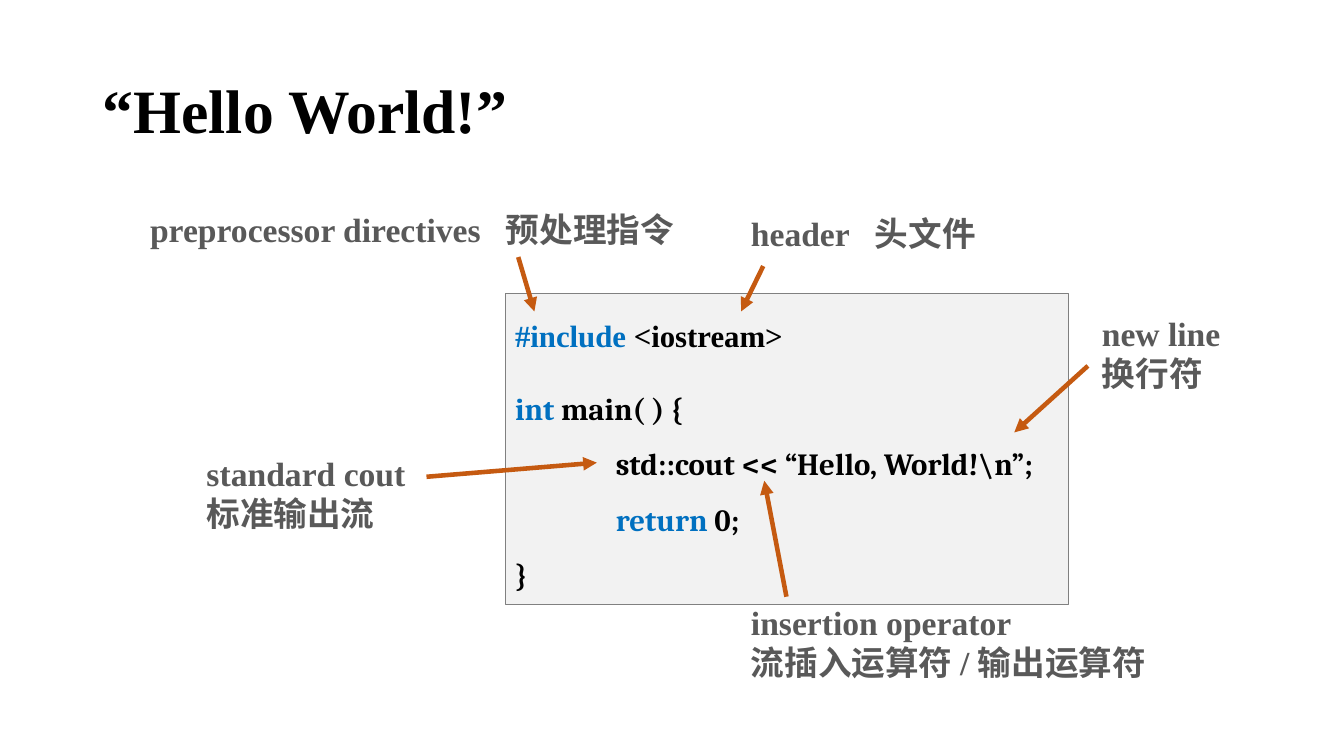
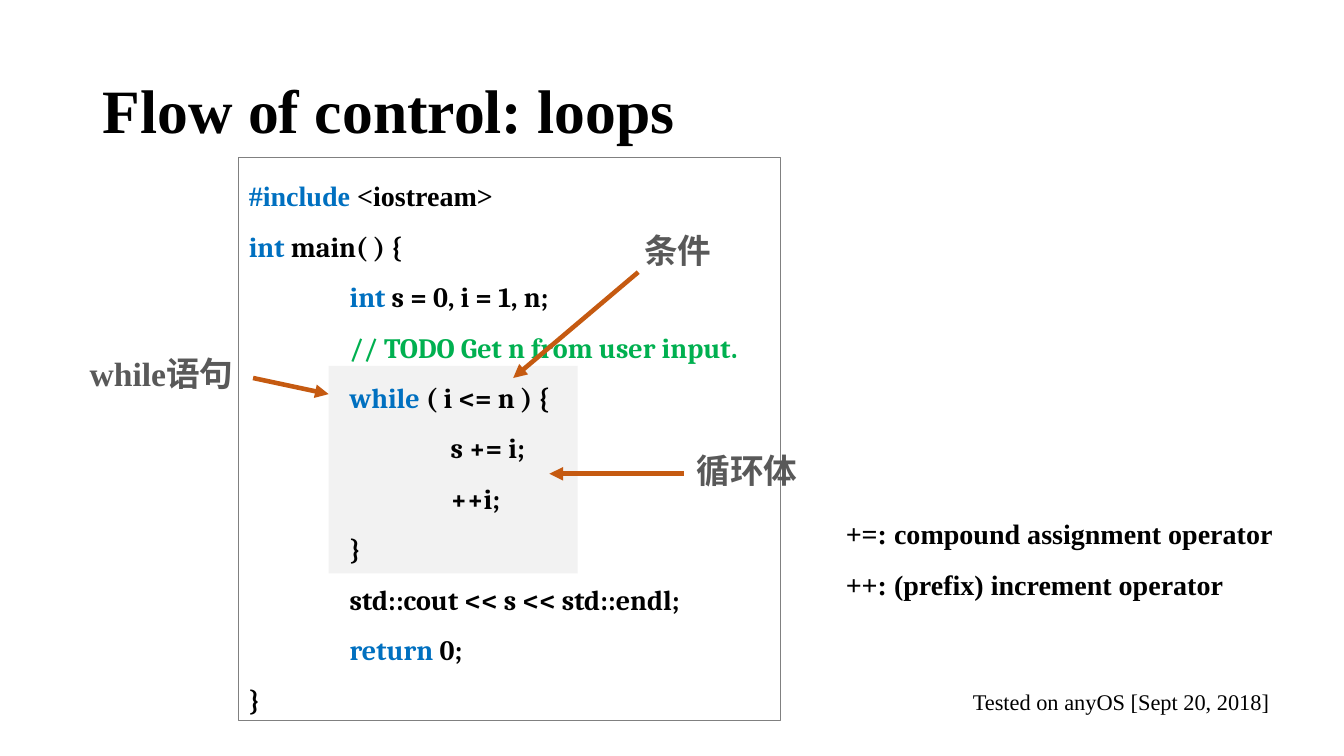
from lxml import etree
from pptx import Presentation
from pptx.dml.color import RGBColor
from pptx.enum import shapes, text
from pptx.oxml import ns
from pptx.util import Inches, Pt

BLACK = RGBColor(0x00, 0x00, 0x00)
KEYWORD = RGBColor(0x00, 0x70, 0xC0)
COMMENT = RGBColor(0x00, 0xB0, 0x50)
LABEL = RGBColor(0x59, 0x59, 0x59)
ARROW = RGBColor(0xC5, 0x5A, 0x11)
PANEL = RGBColor(0xF2, 0xF2, 0xF2)
BORDER = RGBColor(0x80, 0x80, 0x80)

SERIF = "Times New Roman"
CODE = "Cambria"
CHINESE = "Noto Sans CJK SC"


def write(tf, lines, size=24, font=SERIF, color=BLACK, bold=True,
          align=text.PP_ALIGN.LEFT, spacing=1.0, tabs=()):
    """Fill a text frame; a line is a list of strings or (string, colour) runs."""
    tf.word_wrap = True
    for i, line in enumerate(lines):
        p = tf.paragraphs[0] if i == 0 else tf.add_paragraph()
        p.alignment, p.line_spacing = align, spacing
        if tabs:
            stops = etree.SubElement(p._p.get_or_add_pPr(), ns.qn("a:tabLst"))
            for tab in tabs:
                etree.SubElement(stops, ns.qn("a:tab"), pos=str(Inches(tab)), algn="l")
        for run in line:
            words, run_color = (run, color) if isinstance(run, str) else run
            r = p.add_run()
            r.text = words
            r.font.size, r.font.bold, r.font.name = Pt(size), bold, font
            r.font.color.rgb = run_color
            etree.SubElement(r._r.get_or_add_rPr(), ns.qn("a:ea"), typeface=CHINESE)


def add_text(slide, box, lines, **fmt):
    sp = slide.shapes.add_textbox(*map(Inches, box))
    write(sp.text_frame, lines, **fmt)
    return sp


def add_title_slide(prs, title):
    slide = prs.slides.add_slide(prs.slide_layouts[5])
    sp = slide.shapes.title
    sp.left, sp.top, sp.width, sp.height = map(Inches, (0.92, 0.4, 11.5, 1.45))
    sp.text_frame.vertical_anchor = text.MSO_ANCHOR.MIDDLE
    write(sp.text_frame, [[title]], size=44, spacing=0.9)
    return slide


def add_panel(slide, box, fill=None, border=None):
    sp = slide.shapes.add_shape(shapes.MSO_SHAPE.RECTANGLE, *map(Inches, box))
    sp.shadow.inherit = False
    if fill is None:
        sp.fill.background()
    else:
        sp.fill.solid()
        sp.fill.fore_color.rgb = fill
    if border is None:
        sp.line.fill.background()
    else:
        sp.line.color.rgb = border
        sp.line.width = Pt(0.75)
    return sp


def add_listing(slide, box, include, body, size, fill=None, gap=0):
    """Bordered program listing: the include line, a gap, then the code."""
    sp = add_panel(slide, box, fill, BORDER)
    tf = sp.text_frame
    tf.vertical_anchor = text.MSO_ANCHOR.TOP
    write(tf, [include] + body, size=size, font=CODE,
          align=text.PP_ALIGN.JUSTIFY, spacing=1.5, tabs=(1, 2))
    first = tf.paragraphs[0]
    first.space_after = Pt(gap)
    for r in first.runs:
        r.font.name = SERIF


def add_callout(slide, box, lines, start, reach, tabs=()):
    """Label with an arrow; start is measured from the box, reach from start."""
    add_text(slide, box, [[line] for line in lines], color=LABEL, tabs=tabs)
    x, y = box[0] + start[0], box[1] + start[1]
    c = slide.shapes.add_connector(
        shapes.MSO_CONNECTOR.STRAIGHT,
        *map(Inches, (x, y, x + reach[0], y + reach[1])))
    c.line.color.rgb = ARROW
    c.line.width = Pt(3.25)
    etree.SubElement(c.line._get_or_add_ln(), ns.qn("a:tailEnd"), type="triangle")
    etree.SubElement(c._element.spPr, ns.qn("a:effectLst"))


INCLUDE = [("#include", KEYWORD), " <iostream>"]
MAIN = [("int", KEYWORD), " main( ) {"]
RETURN = ["\t", ("return", KEYWORD), " 0;"]


def hello_slide(prs):
    slide = add_title_slide(prs, "“Hello World!”")
    body = [MAIN, ["\tstd::cout << “Hello, World!\\n”;"], RETURN, ["}"]]
    add_listing(slide, (5.01, 2.91, 5.59, 3.09), INCLUDE, body, 22, PANEL, gap=12.5)

    # Callouts around the listing
    add_callout(slide, (7.35, 2.06, 2.57, 0.5), ["header\t头文件"],
                (0.22, 0.58), (-0.22, 0.45), tabs=(1.23,))
    add_callout(slide, (1.39, 2.02, 5.51, 0.5), ["preprocessor directives\t预处理指令"],
                (3.75, 0.53), (0.16, 0.54), tabs=(3.53,))
    add_callout(slide, (1.95, 4.44, 2.27, 0.91), ["standard cout", "标准输出流"],
                (2.28, 0.29), (1.69, -0.14))
    add_callout(slide, (10.83, 3.05, 1.58, 0.91), ["new line", "换行符"],
                (-0.04, 0.58), (-0.73, 0.66))
    add_callout(slide, (7.35, 5.92, 4.6, 0.91),
                ["insertion operator", "流插入运算符 / 输出运算符"],
                (0.45, 0), (-0.22, -1.15))


def loops_slide(prs):
    slide = add_title_slide(prs, "Flow of control: loops")

    # Shading behind the while statement, then the listing
    add_panel(slide, (3.26, 3.63, 2.47, 2.06), PANEL)
    body = [
        MAIN,
        ["\t", ("int", KEYWORD), " s = 0, i = 1, n;"],
        [("\t// TODO Get n from user input.", COMMENT)],
        ["\t", ("while", KEYWORD), " ( i <= n ) {"],
        ["\t\ts += i;"],
        ["\t\t++i;"],
        ["\t}"],
        ["\tstd::cout << s << std::endl;"],
        RETURN,
        ["}"],
    ]
    add_listing(slide, (2.37, 1.56, 5.37, 5.59), INCLUDE, body, 20)

    # Callouts for the parts of the loop
    add_callout(slide, (0.79, 3.45, 1.7, 0.5), ["while语句"], (1.72, 0.3), (0.75, 0.16))
    add_callout(slide, (6.29, 2.23, 0.98, 0.5), ["条件"], (0.04, 0.47), (-1.24, 1.05))
    add_callout(slide, (6.81, 4.41, 1.45, 0.5), ["循环体"], (-0.03, 0.29), (-1.33, 0))

    # Operator notes and test remark
    note = dict(align=text.PP_ALIGN.JUSTIFY, spacing=1.5)
    add_text(slide, (8.29, 4.91, 4.69, 1.05),
             [["+=: compound assignment operator"], ["++: (prefix) increment operator"]],
             size=20, **note)
    add_text(slide, (9.55, 6.64, 3.22, 0.46), [["Tested on anyOS [Sept 20, 2018]"]],
             size=16, bold=False, **note)


def main():
    prs = Presentation()
    prs.slide_width, prs.slide_height = Inches(13.33), Inches(7.5)
    hello_slide(prs)
    loops_slide(prs)
    prs.save("out.pptx")


if __name__ == "__main__":
    main()
